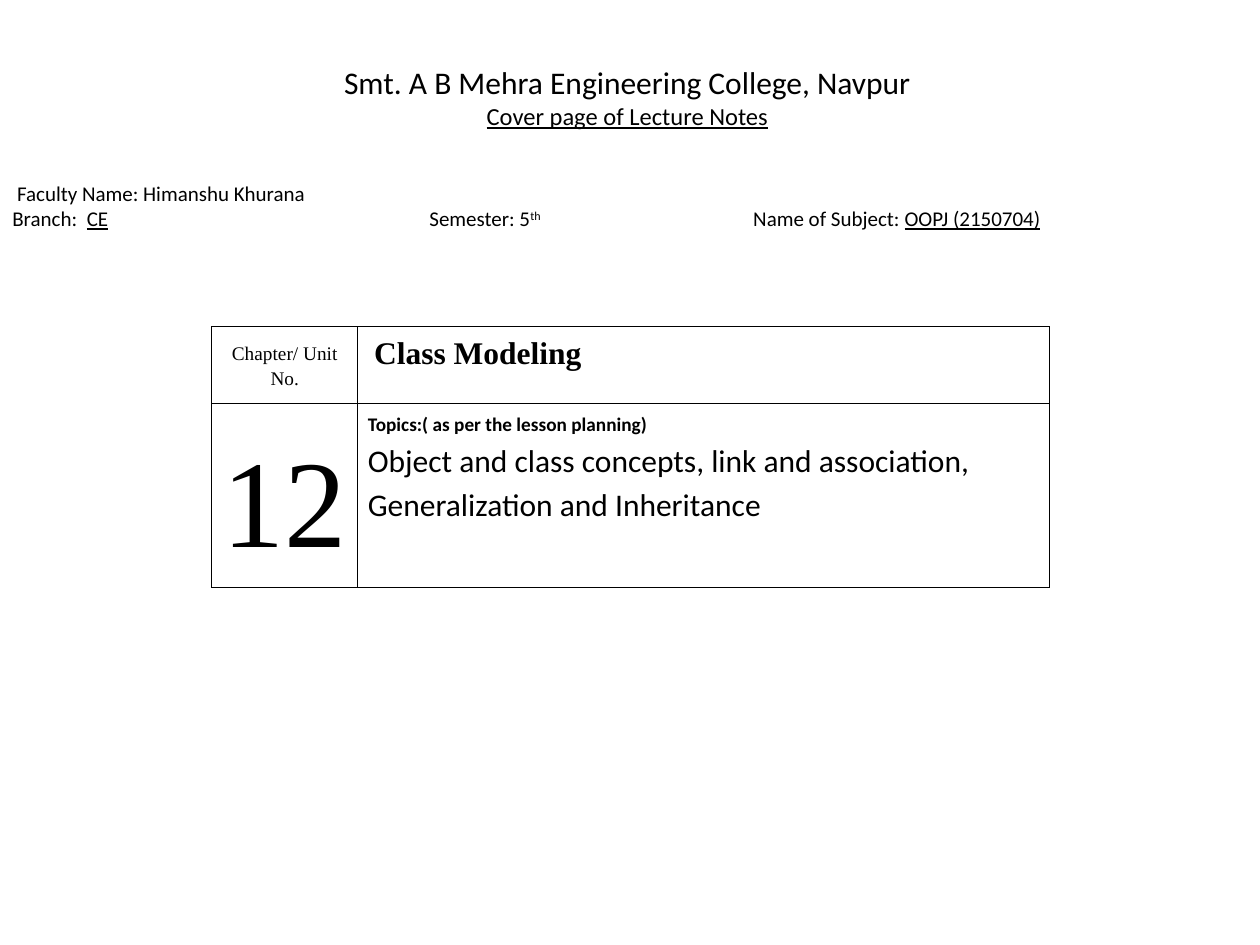
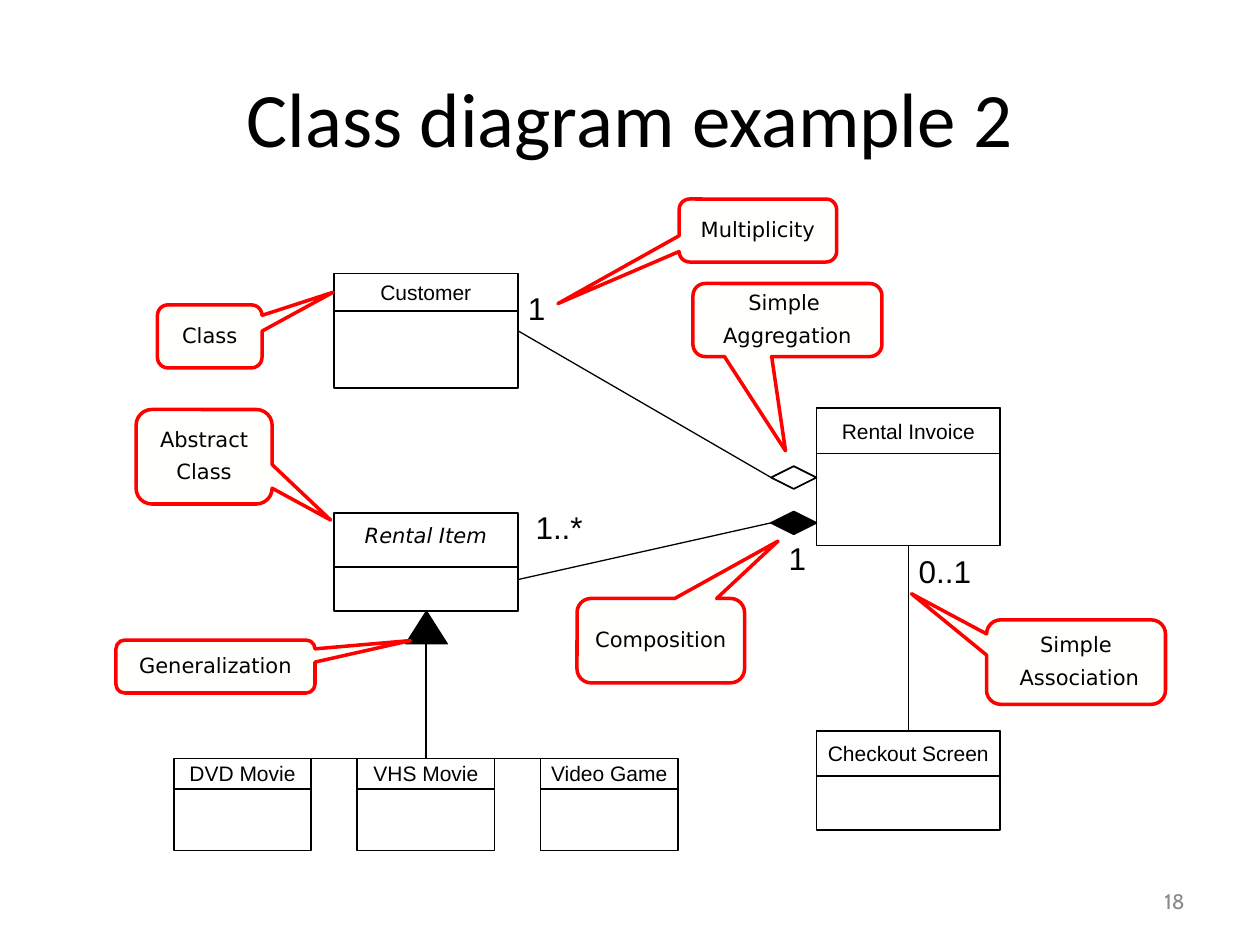
from lxml.etree import SubElement
from pptx import Presentation
from pptx.dml.color import RGBColor
from pptx.enum.shapes import MSO_CONNECTOR as CONN, MSO_SHAPE as SHAPE
from pptx.enum.text import MSO_ANCHOR as ANCHOR, PP_ALIGN as ALIGN
from pptx.oxml.ns import qn
from pptx.util import Inches, Pt

BLACK, WHITE, RED, CREAM, GREY = "000000", "FFFFFF", "FF0000", "FFFFFB", "898989"
BODY, SERIF, SANS, NOTE = "Calibri", "Times New Roman", "Arial", "DejaVu Sans"
INSETS = (0.1, 0.05, 0.1, 0.05)
CELL_INSETS = (0.08, 0.05, 0.08, 0.05)


def rgb(color):
    return RGBColor.from_string(color)


def set_insets(obj, insets):
    obj.margin_left, obj.margin_top, obj.margin_right, obj.margin_bottom = map(Inches, insets)


def write(tf, paras, size=12, font=BODY, color=BLACK, bold=False, italic=False,
          align=ALIGN.LEFT, spacing=None, before=None):
    """Fill a text frame; a paragraph is a string or a list of (text, overrides) runs."""
    for i, para in enumerate(paras if isinstance(paras, list) else [paras]):
        p = tf.paragraphs[0] if i == 0 else tf.add_paragraph()
        p.alignment = align
        if spacing is not None:
            p.line_spacing = spacing
        if before is not None:
            p.space_before = Pt(before)
        for text, extra in [(para, {})] if isinstance(para, str) else para:
            r = p.add_run()
            r.text = text
            f = r.font
            f.name, f.size = font, Pt(extra.get("size", size))
            f.bold, f.italic = extra.get("bold", bold), italic
            f.underline = extra.get("underline", False)
            f.color.rgb = rgb(color)
            if "baseline" in extra:
                r._r.get_or_add_rPr().set("baseline", extra["baseline"])


def add_text(slide, box, paras, anchor=ANCHOR.TOP, insets=INSETS, wrap=True, **fmt):
    tf = slide.shapes.add_textbox(*map(Inches, box)).text_frame
    tf.word_wrap, tf.vertical_anchor = wrap, anchor
    set_insets(tf, insets)
    write(tf, paras, **fmt)
    return tf


def add_shape(slide, kind, box, fill=WHITE, line=BLACK, width=1):
    s = slide.shapes.add_shape(kind, *map(Inches, box))
    s.shadow.inherit = False
    if fill:
        s.fill.solid()
        s.fill.fore_color.rgb = rgb(fill)
    else:
        s.fill.background()
    s.line.color.rgb, s.line.width = rgb(line), Pt(width)
    return s


def link(slide, start, start_side, end, end_side, width=0.75):
    c = slide.shapes.add_connector(CONN.STRAIGHT, 0, 0, 0, 0)
    c.begin_connect(start, start_side)
    c.end_connect(end, end_side)
    c.line.color.rgb, c.line.width = rgb(BLACK), Pt(width)
    SubElement(c._element.spPr, qn("a:effectLst"))


# Cover slide
def cover_heading(slide, box):
    add_text(slide, box, [[("Smt. A B Mehra Engineering College, Navpur", {})],
                          [("Cover page of Lecture Notes", {"size": 14, "underline": True})]],
             size=18, align=ALIGN.CENTER)


def course_details(slide, box):
    tf = add_text(slide, box, [
        " Faculty\u00a0Name: Himanshu Khurana".replace("\u00a0", " "),
        [("Branch:  ", {}), ("CE", {"underline": True}), ("\tSemester: 5", {}),
         ("th", {"baseline": "30000"}), ("\tName of Subject: ", {}),
         ("OOPJ (2150704)", {"underline": True})],
    ], spacing=0.8, before=3)
    tabs = SubElement(tf.paragraphs[1]._p.get_or_add_pPr(), qn("a:tabLst"))
    for pos in (3.31, 5.88):
        SubElement(tabs, qn("a:tab"), pos=str(Inches(pos)), algn="l")


def set_borders(cell, width=0.45):
    tc_pr = cell._tc.get_or_add_tcPr()
    for i, side in enumerate(("a:lnL", "a:lnR", "a:lnT", "a:lnB")):
        ln = tc_pr.makeelement(qn(side), {"w": str(Pt(width))})
        SubElement(SubElement(ln, qn("a:solidFill")), qn("a:srgbClr"), val=BLACK)
        tc_pr.insert(i, ln)


def chapter_table(slide, box):
    table = slide.shapes.add_table(2, 2, *map(Inches, box)).table
    table.first_row = table.horz_banding = False
    left, top, width, height = box
    for col, w in zip(table.columns, (1.16, width - 1.16)):
        col.width = Inches(w)
    for row, h in zip(table.rows, (0.61, height - 0.61)):
        row.height = Inches(h)
    number = dict(font=SERIF, align=ALIGN.CENTER, spacing=1.15)
    topics = [[("Topics:( as per the lesson planning)", {"size": 11, "bold": True})],
              "Object and class concepts, link and association, "
              "Generalization and Inheritance"]
    cells = [
        ("Chapter/ Unit No.", ANCHOR.MIDDLE, CELL_INSETS, dict(number, size=11)),
        ("Class Modeling", ANCHOR.TOP, (0.13, 0.08, 0.08, 0.05),
         dict(font=SERIF, size=18, bold=True)),
        ("12", ANCHOR.MIDDLE, CELL_INSETS, dict(number, size=71)),
        (topics, ANCHOR.TOP, CELL_INSETS, dict(size=18, spacing=1.15)),
    ]
    for cell, (paras, anchor, insets, fmt) in zip(table.iter_cells(), cells):
        cell.fill.background()
        cell.vertical_anchor = anchor
        set_insets(cell, insets)
        set_borders(cell)
        write(cell.text_frame, paras, **fmt)


def cover_slide(slide):
    cover_heading(slide, (0.48, 0.45, 9, 0.7))
    course_details(slide, (0, 1.42, 10, 0.6))
    chapter_table(slide, (1.68, 2.59, 6.65, 1.98))


# Class diagram slide
def class_box(slide, name, box, head, body_top=0, **fmt):
    """Draw a class as a body with a name band on top; return both."""
    x, y, w, h = box
    body = add_shape(slide, SHAPE.RECTANGLE, (x, y + body_top, w, h - body_top))
    band = add_shape(slide, SHAPE.RECTANGLE, (x, y, w, head))
    tf = band.text_frame
    tf.word_wrap, tf.vertical_anchor = False, ANCHOR.MIDDLE
    set_insets(tf, (0, 0, 0, 0))
    write(tf, name, **{"font": SANS, "align": ALIGN.CENTER, **fmt})
    return body, band


def callout(slide, lines, box, tip):
    """Draw a callout whose tip is offset from its centre by shares of its size."""
    s = add_shape(slide, SHAPE.ROUNDED_RECTANGULAR_CALLOUT, box, CREAM, RED, 2)
    s.adjustments[0], s.adjustments[1] = tip
    tf = s.text_frame
    tf.word_wrap, tf.vertical_anchor = False, ANCHOR.MIDDLE
    set_insets(tf, INSETS)
    write(tf, lines, font=NOTE, align=ALIGN.CENTER, spacing=0.89, before=6)


def class_diagram(slide):
    # Subclasses in an even row
    dvd, vhs, game = [
        class_box(slide, name, (1.38 + 1.455 * i, 6.02, 1.09, 0.73), 0.24)[1]
        for i, name in enumerate(("DVD Movie", "VHS Movie", "Video Game"))]

    # Main classes
    item, _ = class_box(slide, "Rental Item", (2.65, 4.07, 1.46, 0.78), 0.43,
                        body_top=0.28, font=NOTE, italic=True, spacing=0.5)
    invoice, _ = class_box(slide, "Rental Invoice", (6.48, 3.24, 1.46, 1.09), 0.36)
    customer, _ = class_box(slide, "Customer", (2.65, 2.17, 1.46, 0.91), 0.3)
    _, checkout = class_box(slide, "Checkout Screen", (6.48, 5.8, 1.46, 0.79), 0.36)

    # Relations
    aggregation, composition = [
        add_shape(slide, SHAPE.DIAMOND, (6.12, y, 0.36, 0.18), fill)
        for y, fill in ((3.7, None), (4.06, BLACK))]
    link(slide, checkout, 0, invoice, 2, width=1)
    link(slide, vhs, 0, item, 2)
    link(slide, dvd, 0, game, 0)
    link(slide, composition, 1, item, 3)
    link(slide, aggregation, 1, customer, 3)
    add_shape(slide, SHAPE.FLOWCHART_EXTRACT, (3.22, 4.85, 0.33, 0.26), BLACK, width=0.75)

    # Multiplicities
    for text, x, y, w in (("1", 4.19, 2.29, 0.14), ("1..*", 4.25, 4.03, 0.38),
                          ("1", 6.26, 4.28, 0.14), ("0..1", 7.29, 4.38, 0.42)):
        add_text(slide, (x, y, w, 0.3), text, insets=(0, 0, 0, 0), wrap=False,
                 size=18, font=SANS)

    # Explanations
    for lines, box, tip in (
            (["Simple", " Association"], (7.83, 4.92, 1.42, 0.67), (-0.92, -0.81)),
            ("Class", (1.25, 2.42, 0.83, 0.5), (1.18, -0.7)),
            (["Abstract", "Class"], (1.08, 3.25, 1.08, 0.75), (0.93, 0.67)),
            (["Simple ", "Aggregation"], (5.5, 2.25, 1.5, 0.58), (-0.01, 1.79)),
            ("Generalization", (0.92, 5.08, 1.58, 0.42), (0.98, -0.49)),
            ("Composition", (4.58, 4.75, 1.33, 0.67), (0.7, -1.18)),
            ("Multiplicity", (5.39, 1.58, 1.25, 0.5), (-1.27, 1.16))):
        callout(slide, lines, box, tip)


def diagram_slide(slide):
    add_text(slide, (0.5, 0.3, 9, 1.25), "Class diagram example 2",
             anchor=ANCHOR.MIDDLE, size=44, align=ALIGN.CENTER)
    class_diagram(slide)
    add_text(slide, (7.17, 6.95, 2.33, 0.4), "18", anchor=ANCHOR.MIDDLE,
             font="Cabin", color=GREY, align=ALIGN.RIGHT)


def main():
    prs = Presentation()
    prs.slide_width, prs.slide_height = Inches(10), Inches(7.5)
    for build in (cover_slide, diagram_slide):
        build(prs.slides.add_slide(prs.slide_layouts[6]))
    prs.save("out.pptx")


if __name__ == "__main__":
    main()
